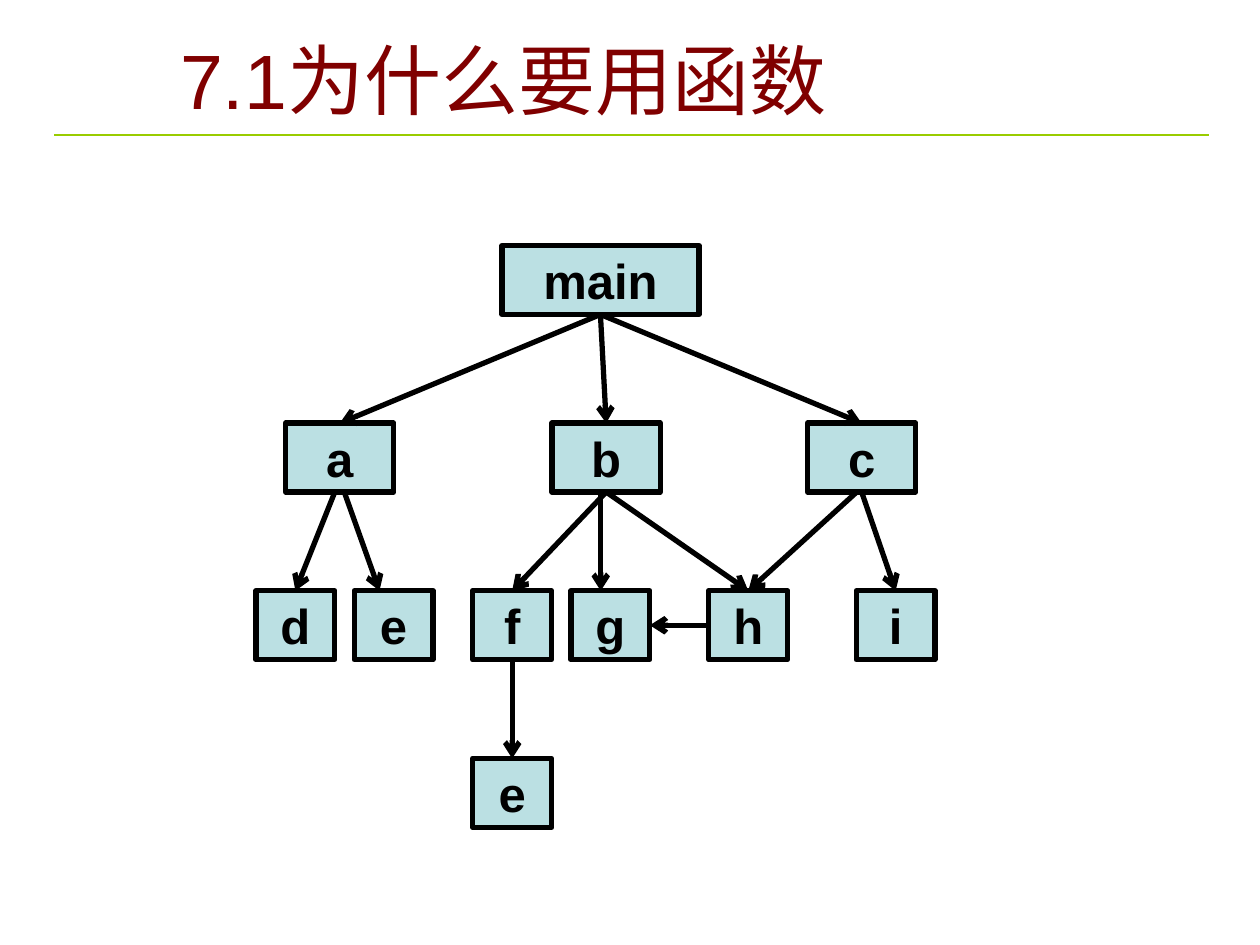
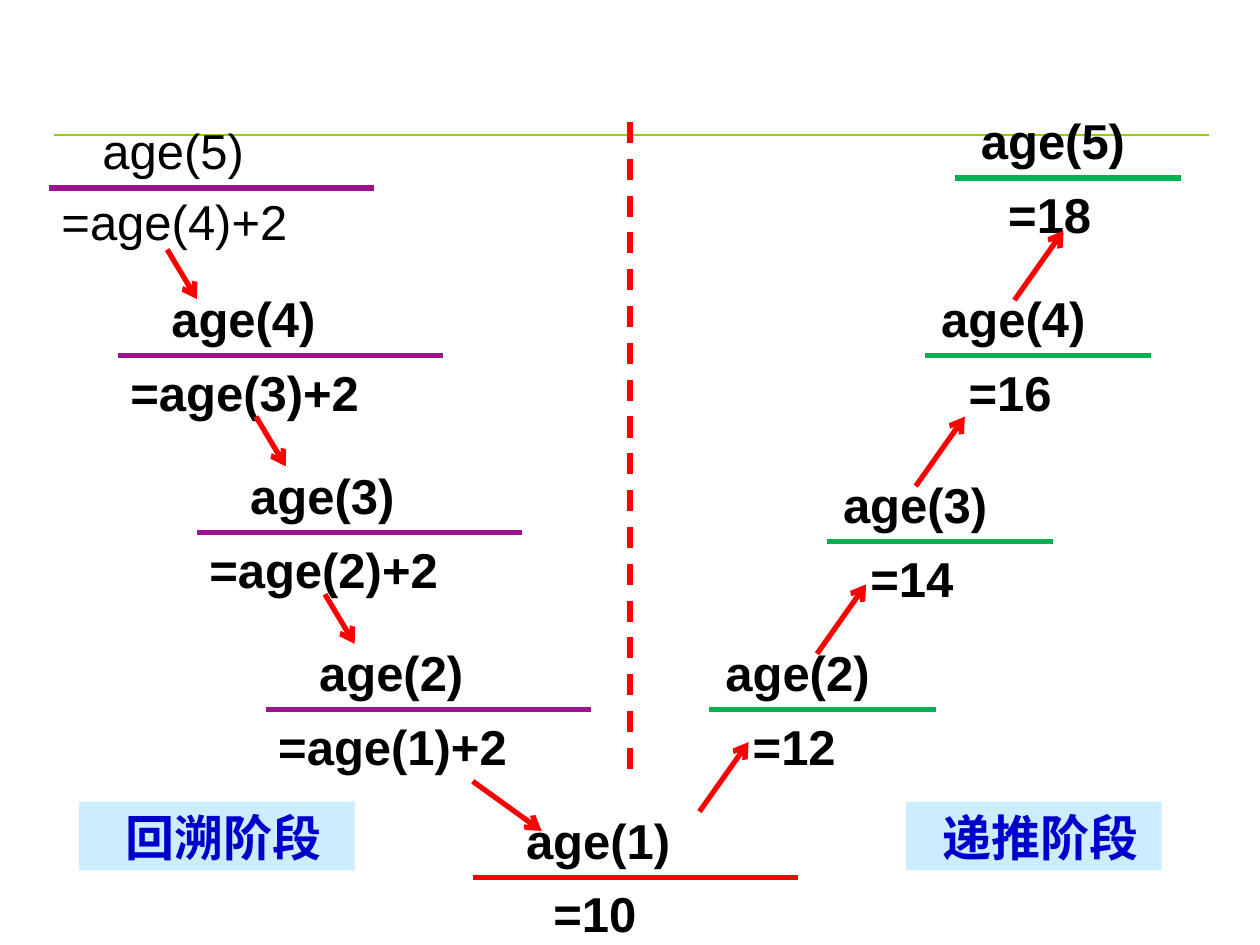
from lxml import etree
from pptx import Presentation
from pptx.dml.color import RGBColor
from pptx.enum.dml import MSO_LINE
from pptx.enum.shapes import MSO_CONNECTOR, MSO_SHAPE
from pptx.enum.text import MSO_ANCHOR, PP_ALIGN
from pptx.oxml.ns import qn
from pptx.util import Cm, Pt

STRAIGHT = MSO_CONNECTOR.STRAIGHT
PROCESS = MSO_SHAPE.FLOWCHART_PROCESS
RECTANGLE = MSO_SHAPE.RECTANGLE
MIDDLE, TOP = MSO_ANCHOR.MIDDLE, MSO_ANCHOR.TOP
CENTER, LEFT = PP_ALIGN.CENTER, PP_ALIGN.LEFT
DASH = MSO_LINE.DASH
TOP_SITE, LEFT_SITE, BOTTOM_SITE, RIGHT_SITE = range(4)

color = RGBColor.from_string
FONT = "Arial"
BLACK, RED, PURPLE, GREEN = "000000", "FF0000", "9D138D", "00B050"
MAROON, LIME, TEAL = "800000", "99CC00", "BBE0E3"
BLUE, PALE_BLUE = "0000CC", "CCECFF"


def draw_line(slide, x1, y1, x2, y2, hue, width=3, arrow=False):
    line = slide.shapes.add_connector(STRAIGHT, Cm(x1), Cm(y1), Cm(x2), Cm(y2))
    line.line.color.rgb = color(hue)
    line.line.width = Pt(width)
    if arrow:
        etree.SubElement(line.line._get_or_add_ln(), qn("a:tailEnd"), type="arrow")
    etree.SubElement(line._element.spPr, qn("a:effectLst"))
    return line


def write(paragraph, text, size=28, hue=BLACK, bold=True, align=CENTER, indent=0):
    paragraph.alignment = align
    paragraph._p.get_or_add_pPr().set("marL", str(Cm(indent)))
    run = paragraph.add_run()
    run.text = text
    run.font.name = FONT
    run.font.size = Pt(size)
    run.font.bold = bold
    run.font.color.rgb = color(hue)


prs = Presentation()
prs.slide_width, prs.slide_height = Cm(25.4), Cm(19.05)
calls, recursion = [prs.slides.add_slide(prs.slide_layouts[6]) for _ in range(2)]
for slide in (calls, recursion):
    draw_line(slide, 1.09, 2.72, 24.38, 2.72, LIME, 1.5)

title = calls.shapes.add_textbox(Cm(3), Cm(0.53), Cm(14.3), Cm(2.13)).text_frame
title.word_wrap = True
title.vertical_anchor = MIDDLE
write(title.paragraphs[0], "7.1为什么要用函数", 44, MAROON, False)

NODE_HEIGHT = 1.39
levels = [
    (4.95, 3.97, {"main": 10.12}),
    (8.53, 2.18, {"a": 5.76, "b": 11.13, "c": 16.28}),
    (11.91, 1.59, {"d": 5.16, "e": 7.14, "f": 9.53, "g": 11.51, "h": 14.29, "i": 17.26}),
    (15.29, 1.59, {"e from f": 9.53}),
]
functions = {}
for top, width, members in levels:
    for function, left in members.items():
        node = calls.shapes.add_shape(PROCESS, Cm(left), Cm(top), Cm(width), Cm(NODE_HEIGHT))
        node.shadow.inherit = False
        node.fill.solid()
        node.fill.fore_color.rgb = color(TEAL)
        node.line.color.rgb = color(BLACK)
        node.line.width = Pt(3)
        frame = node.text_frame
        frame.word_wrap = False
        frame.vertical_anchor = MIDDLE
        frame.margin_left = frame.margin_right = frame.margin_top = frame.margin_bottom = 0
        write(frame.paragraphs[0], function.split()[0])
        functions[function] = node

downward_calls = [
    ("main", "a", None, None), ("main", "b", None, None), ("main", "c", None, None),
    ("a", "d", 6.75, None), ("a", "e", 6.94, 7.65),
    ("b", "f", None, None), ("b", "g", 12.11, 12.11), ("b", "h", None, None),
    ("c", "h", 17.27, None), ("c", "i", None, None),
    ("f", "e from f", None, None),
]
for caller, callee, start_x, end_x in downward_calls:
    source, target = functions[caller], functions[callee]
    start_y = (source.top + source.height) / Cm(1)
    arrow = draw_line(calls, start_x or 0, start_y, end_x or 0, target.top / Cm(1), BLACK, arrow=True)
    if start_x is None:
        arrow.begin_connect(source, BOTTOM_SITE)
    if end_x is None:
        arrow.end_connect(target, TOP_SITE)

sideways = draw_line(calls, 14.29, 12.6, 13.1, 12.6, BLACK, arrow=True)
sideways.begin_connect(functions["h"], LEFT_SITE)
sideways.end_connect(functions["g"], RIGHT_SITE)

SPACE = 0.275
descent = [(5, 0.99, 2.26), (4, 2.38, 5.64), (3, 3.97, 9.21), (2, 5.36, 12.78)]
ascent = [(2, 14.1, 12.78, 0.2), (3, 16.47, 9.39, 0.2), (4, 18.45, 5.64, 0.2), (5, 19.25, 2.06, 0)]
steps = [(n, f"=age({n - 1})+2", x, y, 0, 6.55, PURPLE, 3, 0) for n, x, y in descent]
steps.append((1, "=10", 9.53, 16.16, 0, 6.55, RED, 3, 5))
steps += [(n, f"={8 + 2 * n}", x, y, shift, 4.56, GREEN, 1, 3) for n, x, y, shift in ascent]

for n, result, left, top, shift, length, hue, call_spaces, result_spaces in steps:
    width = 5.77 if hue == GREEN else 7.75
    step = recursion.shapes.add_textbox(Cm(left), Cm(top + 0.05), Cm(width), Cm(3.18)).text_frame
    step.word_wrap = True
    first = n == 5 and hue == PURPLE
    write(step.paragraphs[0], f"age({n})", bold=not first, align=LEFT, indent=call_spaces * SPACE)
    value = step.add_paragraph()
    value.space_before = Pt(7 if first else 8.5)
    write(value, result, bold=not first, align=LEFT, indent=result_spaces * SPACE)
    draw_line(recursion, left + shift, top + 1.53, left + shift + length, top + 1.53, hue)

divider = draw_line(recursion, 12.7, 2.46, 12.7, 15.75, RED)
divider.line.dash_style = DASH

arrows = [(x, y, 0.6, 1) for x, y in [(3.37, 5.03), (5.16, 8.4), (6.55, 11.98)]]
arrows.append((9.53, 15.75, 1.39, 1))
arrows += [(x, y, 0.99, -1.4) for x, y in [(14.1, 16.36), (16.47, 13.18), (18.46, 9.8), (20.45, 6.05)]]
for x, y, run, rise in arrows:
    draw_line(recursion, x, y, x + run, y + rise, RED, arrow=True)

for phase, left, width in [("回溯阶段", 1.59, 5.56), ("递推阶段", 18.26, 5.16)]:
    label = recursion.shapes.add_shape(RECTANGLE, Cm(left), Cm(16.16), Cm(width), Cm(1.39))
    label.shadow.inherit = False
    label.fill.solid()
    label.fill.fore_color.rgb = color(PALE_BLUE)
    label.line.fill.background()
    label.text_frame.word_wrap = True
    label.text_frame.vertical_anchor = TOP
    write(label.text_frame.paragraphs[0], phase, hue=BLUE, indent=SPACE)

prs.save("out.pptx")
